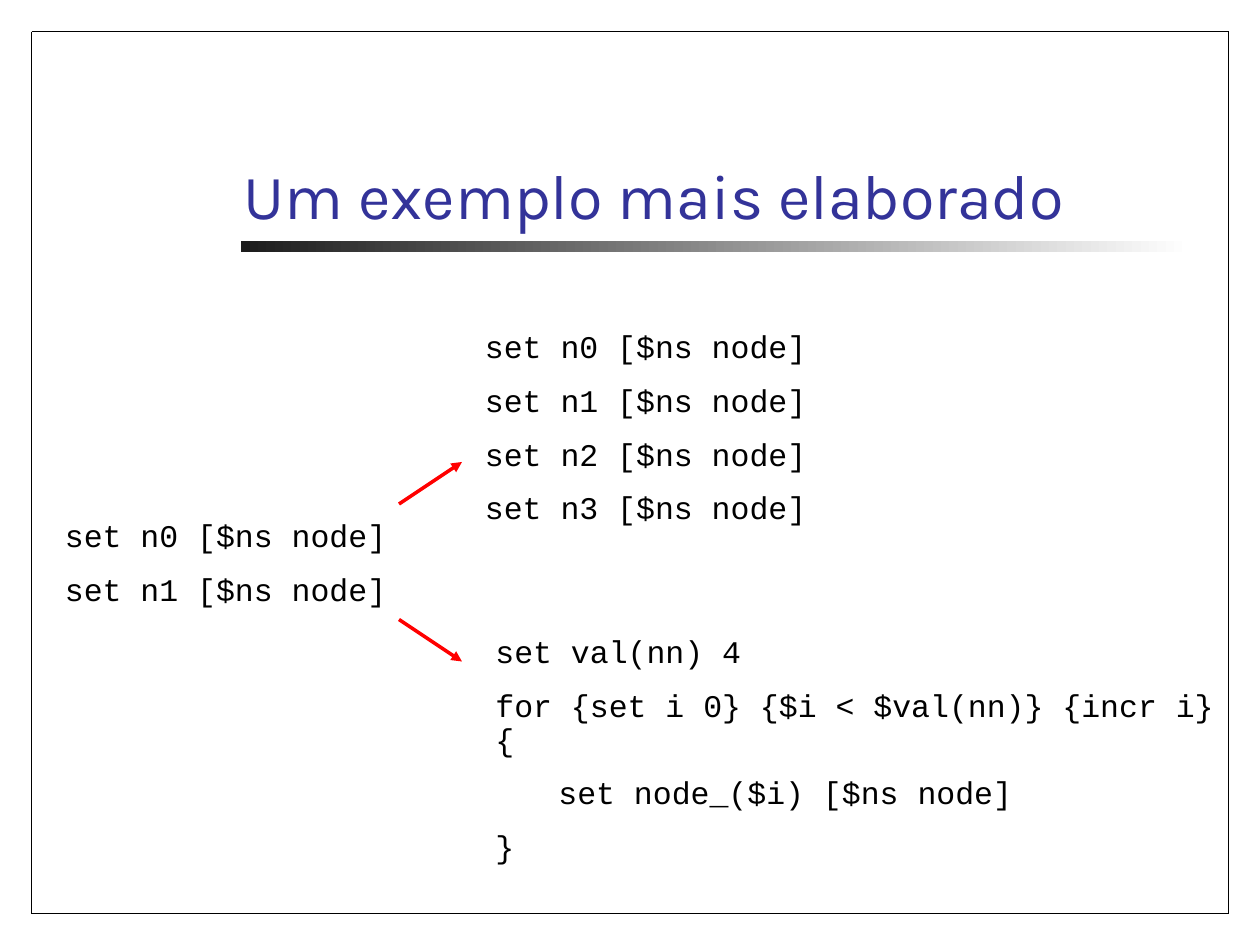
from lxml import etree
from pptx import Presentation
from pptx.dml.color import RGBColor
from pptx.enum.shapes import MSO_CONNECTOR, MSO_SHAPE
from pptx.enum.text import MSO_ANCHOR, MSO_AUTO_SIZE
from pptx.oxml.ns import qn
from pptx.util import Inches, Pt

STRAIGHT = MSO_CONNECTOR.STRAIGHT
RECTANGLE = MSO_SHAPE.RECTANGLE
TOP, BOTTOM = MSO_ANCHOR.TOP, MSO_ANCHOR.BOTTOM
FIXED, GROW = MSO_AUTO_SIZE.NONE, MSO_AUTO_SIZE.SHAPE_TO_FIT_TEXT

# The slide is a grid of 120 columns by 90 rows, twelve to the inch
COLUMNS, ROWS = 120, 90


def grid(*cells):
    return [Inches(cell / 12) for cell in cells]


def rgb(hex_color):
    return RGBColor.from_string(hex_color)


def write(frame, text, *, font, size, color, line_spacing=None, space_before=None):
    """Write each line of the text as one paragraph of the frame."""
    for index, line in enumerate(text.split("\n")):
        paragraph = frame.add_paragraph() if index else frame.paragraphs[0]
        paragraph.line_spacing = line_spacing
        paragraph.space_before = space_before
        run = paragraph.add_run()
        run.text = line
        run.font.name = font
        run.font.size = Pt(size)
        run.font.color.rgb = rgb(color)


class CodeSlide:
    TITLE = dict(font="Karla", size=36, color="333399")
    CODE = dict(font="Courier New", size=18, color="000000",
                line_spacing=0.9, space_before=Pt(11.2))
    FRAME, ARROW = "000000", "FF0000"
    BAR = ("FFFFFF", "1C1C1C")

    def __init__(self, slide):
        self.shapes = slide.shapes

    def text(self, text, box, style, anchor=TOP, auto_size=GROW):
        frame = self.shapes.add_textbox(*grid(*box)).text_frame
        frame.word_wrap = True
        frame.auto_size = auto_size
        frame.vertical_anchor = anchor
        write(frame, text, **style)

    def title(self, text, box):
        self.text(text, box, self.TITLE, BOTTOM, FIXED)

    def code(self, text, box):
        self.text(text, box, self.CODE)

    def line(self, start, end, color, width):
        line = self.shapes.add_connector(STRAIGHT, *grid(*start, *end))
        line.line.color.rgb = rgb(color)
        line.line.width = Pt(width)
        etree.SubElement(line._element.spPr, qn("a:effectLst"))
        return line

    def arrow(self, start, end):
        arrow = self.line(start, end, self.ARROW, 2)
        etree.SubElement(arrow.line._get_or_add_ln(), qn("a:tailEnd"), type="triangle")

    def border(self, margin):
        right, bottom = COLUMNS - margin, ROWS - margin
        for x in (margin, right):
            self.line((x, margin), (x, bottom), self.FRAME, 0.75)
        for y in (bottom, margin):
            self.line((margin, y), (right, y), self.FRAME, 0.75)

    def gradient_bar(self, box):
        bar = self.shapes.add_shape(RECTANGLE, *grid(*box))
        bar.shadow.inherit = False
        bar.line.fill.background()
        bar.fill.gradient()
        bar.fill.gradient_angle = 180
        for stop, color, position in zip(bar.fill.gradient_stops, self.BAR, (0, 1)):
            stop.color.rgb = rgb(color)
            stop.position = position


def node_lines(count):
    return "\n".join(f"set n{number} [$ns node]" for number in range(count))


def main():
    deck = Presentation()
    deck.slide_width, deck.slide_height = grid(COLUMNS, ROWS)
    page = CodeSlide(deck.slides.add_slide(deck.slide_layouts[6]))

    # Title, its underline and the page frame
    page.gradient_bar((23, 22.95, 90.4, 1.05))
    page.border(margin=3)
    page.title("Um exemplo mais elaborado", (22, 7.7, 91, 15))

    # Two nodes, then four nodes by hand or with a loop
    page.code(node_lines(2), (5, 49, 33, 9.6))
    page.code(node_lines(4), (45, 31, 34, 19.8))
    loop = ("set val(nn) 4\n"
            "for {set i 0} {$i < $val(nn)} {incr i} {\n"
            "\tset node_($i) [$ns node]\n"
            "}")
    page.code(loop, (46, 60, 71, 23))

    # Arrows to the two alternatives
    page.arrow((38, 48), (44, 44))
    page.arrow((38, 59), (44, 63))

    deck.save("out.pptx")


if __name__ == "__main__":
    main()
